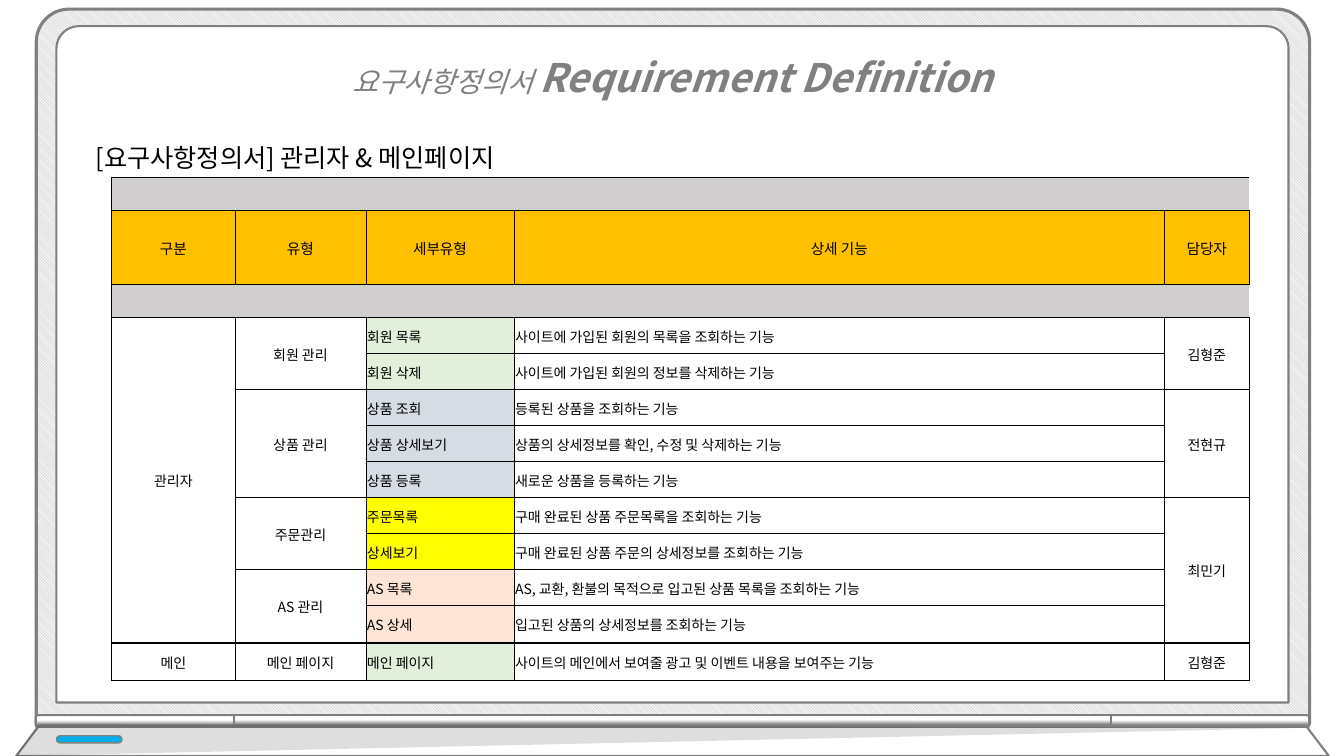
import lxml.etree
import pptx
import pptx.dml.color
import pptx.enum.dml
import pptx.enum.shapes
import pptx.enum.text
import pptx.oxml.ns
import pptx.util

Inches = pptx.util.Inches
Pt = pptx.util.Pt
RGB = pptx.dml.color.RGBColor.from_string
qn = pptx.oxml.ns.qn
SHAPE = pptx.enum.shapes.MSO_SHAPE
CENTER = pptx.enum.text.PP_ALIGN.CENTER
LEFT = pptx.enum.text.PP_ALIGN.LEFT


class Theme:
    font = "Noto Sans CJK KR"
    text, gray, white = "000000", "808080", "FFFFFF"
    bezel, bezel_stripe, light = "F2F2F2", "BFBFBF", "00B0F0"
    band, header = "D0CECE", "FFC000"
    green, blue, yellow, peach = "E2EFDA", "D6DCE4", "FFFF00", "FCE4D6"
    title_size, subtitle_size, heading_size = 28, 20, 18
    header_size, body_size = 10.5, 10


def set_font(paragraph, size, color):
    font = paragraph.font
    font.size = Pt(size)
    font.name = Theme.font
    font.color.rgb = RGB(color)
    east_asian = lxml.etree.SubElement(font._element, qn("a:ea"))
    east_asian.set("typeface", Theme.font)


def style_shape(shape, fill=None, line_width=None):
    """Drop the shadow, then set a solid fill and a gray outline or none."""
    shape.shadow.inherit = False
    if fill:
        shape.fill.solid()
        shape.fill.fore_color.rgb = RGB(fill)
    if line_width:
        shape.line.color.rgb = RGB(Theme.gray)
        shape.line.width = Pt(line_width)
    else:
        shape.line.fill.background()


presentation = pptx.Presentation()
presentation.slide_width = Inches(13.33)
presentation.slide_height = Inches(7.5)
slide = presentation.slides.add_slide(presentation.slide_layouts[6])

# Laptop screen
laptop = slide.shapes.add_group_shape().shapes
bezel = laptop.add_shape(SHAPE.ROUND_2_SAME_RECTANGLE, Inches(0.36), Inches(0.09), Inches(12.63), Inches(7.09))
bezel.adjustments[0] = 0.046
style_shape(bezel, line_width=2.25)
bezel.fill.patterned()
bezel.fill.pattern = pptx.enum.dml.MSO_PATTERN.LIGHT_DOWNWARD_DIAGONAL
bezel.fill.fore_color.rgb = RGB(Theme.bezel_stripe)
bezel.fill.back_color.rgb = RGB(Theme.bezel)

screen = laptop.add_shape(SHAPE.ROUND_2_SAME_RECTANGLE, Inches(0.56), Inches(0.26), Inches(12.22), Inches(6.71))
screen.adjustments[0] = 0.033
style_shape(screen, Theme.white, 1.5)

# Hinge: left, top, length, rotation, corner, mirrored
hinge_parts = [
    (1.28, 6.17, 1.97, 270, 0.193, False),
    (11.94, 6.17, 1.97, 90, 0.193, True),
    (6.61, 2.8, 8.7, 270, 0, False),
]
for left, top, length, rotation, corner, mirrored in hinge_parts:
    hinge = laptop.add_shape(SHAPE.ROUND_2_SAME_RECTANGLE, Inches(left), Inches(top), Inches(0.12), Inches(length))
    hinge.adjustments[0] = corner
    hinge.rotation = rotation
    if mirrored:
        hinge._element.spPr.find(qn("a:xfrm")).set("flipH", "1")
    style_shape(hinge, line_width=1.5)
    hinge.fill.gradient()
    hinge.fill.gradient_angle = 0
    for stop, position, color in zip(hinge.fill.gradient_stops, (0.17, 0.59), (Theme.gray, Theme.white)):
        stop.position = position
        stop.color.rgb = RGB(color)

# Keyboard base and its shade
base_outlines = [
    ([(0.38, 7.21), (12.96, 7.21), (13.18, 7.5), (0.16, 7.5)], Theme.white, 1.5),
    ([(0.38, 7.18), (0.16, 7.5), (13.01, 7.22)], Theme.text, None),
]
for points, fill, line_width in base_outlines:
    corners = [(Inches(x), Inches(y)) for x, y in points]
    builder = laptop.build_freeform(*corners[0])
    builder.add_line_segments(corners[1:], close=True)
    base = builder.convert_to_shape()
    style_shape(base, fill, line_width)
shade_color = base._element.spPr.find(qn("a:solidFill"))[0]
lxml.etree.SubElement(shade_color, qn("a:alpha")).set("val", "13000")

power_light = laptop.add_shape(SHAPE.ROUNDED_RECTANGLE, Inches(0.56), Inches(7.3), Inches(0.65), Inches(0.07))
power_light.adjustments[0] = 0.5
style_shape(power_light, Theme.light, 1)

# Title
title = slide.shapes.add_textbox(Inches(3.29), Inches(0.25), Inches(6.76), Inches(0.81))
title.text_frame.word_wrap = True
paragraph = title.text_frame.paragraphs[0]
paragraph.alignment = CENTER
paragraph.line_spacing = 1.5
set_font(paragraph, Theme.subtitle_size, Theme.gray)
paragraph.font.italic = True
paragraph.add_run().text = "요구사항정의서 "
english_title = paragraph.add_run()
english_title.text = "Requirement Definition"
english_title.font.size = Pt(Theme.title_size)
english_title.font.bold = True

# Requirements table
headers = ["구분", "유형", "세부유형", "상세 기능", "담당자"]
requirements = [
    ("관리자", "회원 관리", "회원 목록", "사이트에 가입된 회원의 목록을 조회하는 기능", "김형준", Theme.green),
    ("", "", "회원 삭제", "사이트에 가입된 회원의 정보를 삭제하는 기능", "", Theme.green),
    ("", "상품 관리", "상품 조회", "등록된 상품을 조회하는 기능", "전현규", Theme.blue),
    ("", "", "상품 상세보기", "상품의 상세정보를 확인, 수정 및 삭제하는 기능", "", Theme.blue),
    ("", "", "상품 등록", "새로운 상품을 등록하는 기능", "", Theme.blue),
    ("", "주문관리", "주문목록", "구매 완료된 상품 주문목록을 조회하는 기능", "최민기", Theme.yellow),
    ("", "", "상세보기", "구매 완료된 상품 주문의 상세정보를 조회하는 기능", "", Theme.yellow),
    ("", "AS 관리", "AS 목록", "AS, 교환, 환불의 목적으로 입고된 상품 목록을 조회하는 기능", "", Theme.peach),
    ("", "", "AS 상세", "입고된 상품의 상세정보를 조회하는 기능", "", Theme.peach),
    ("메인", "메인 페이지", "메인 페이지", "사이트의 메인에서 보여줄 광고 및 이벤트 내용을 보여주는 기능", "김형준", Theme.green),
]
band_rows, header_row, first_row = (0, 2), 1, 3
thick_edges = (0, 1, 2, 3, 12, 13)
column_widths = [1.22, 1.3, 1.47, 6.45, 0.84]
row_heights = [0.33, 0.73, 0.33] + [2.86 / 8] * 8 + [0.37] * 2
band = [""] * len(headers)
rows = [band, headers, band] + [requirement[:5] for requirement in requirements]

table = slide.shapes.add_table(
    len(rows), len(headers), Inches(1.11), Inches(1.76), Inches(sum(column_widths)), Inches(sum(row_heights))
).table
table.first_row = table.horz_banding = False
table._tbl.tblPr.find(qn("a:tableStyleId")).text = "{2D5ABB26-0587-4C30-8999-92F81FD0307C}"
for column, width in zip(table.columns, column_widths):
    column.width = Inches(width)
for row, height in zip(table.rows, row_heights):
    row.height = Inches(height)

for row_index, texts in enumerate(rows):
    is_band = row_index in band_rows
    for column_index, text in enumerate(texts):
        cell = table.cell(row_index, column_index)
        cell.margin_left = cell.margin_right = cell.margin_top = Inches(0.01)
        cell.margin_bottom = 0
        cell.vertical_anchor = pptx.enum.text.MSO_ANCHOR.MIDDLE
        paragraph = cell.text_frame.paragraphs[0]
        is_left = row_index >= first_row and column_index in (2, 3)
        paragraph.alignment = LEFT if is_left else CENTER
        size = Theme.header_size if row_index == header_row else Theme.body_size
        set_font(paragraph, size, Theme.text)
        if text:
            paragraph.add_run().text = text
        else:
            lxml.etree.SubElement(paragraph._p, qn("a:endParaRPr")).set("sz", str(size * 100))

        borders = {
            "a:lnL": 1 if column_index == 0 else 0 if is_band else 0.5,
            "a:lnR": 0 if is_band else 0.5,
            "a:lnT": 1 if row_index in thick_edges else 0.5,
            "a:lnB": 1 if row_index + 1 in thick_edges else 0.5,
        }
        for tag, width in borders.items():
            if width:
                border = lxml.etree.SubElement(cell._tc.get_or_add_tcPr(), qn(tag), w=str(Pt(width)))
                border_fill = lxml.etree.SubElement(border, qn("a:solidFill"))
                lxml.etree.SubElement(border_fill, qn("a:srgbClr"), val=Theme.text)

        fill = Theme.band if is_band else Theme.header if row_index == header_row else None
        if row_index >= first_row and column_index == 2:
            fill = requirements[row_index - first_row][5]
        if fill:
            cell.fill.solid()
            cell.fill.fore_color.rgb = RGB(fill)
        else:
            cell.fill.background()

for row_index in band_rows:
    table.cell(row_index, 0).merge(table.cell(row_index, len(headers) - 1))
for column_index in (0, 1, 4):
    starts = [i for i in range(first_row, len(rows)) if rows[i][column_index]]
    for start, end in zip(starts, starts[1:] + [len(rows)]):
        if end - start > 1:
            table.cell(start, column_index).merge(table.cell(end - 1, column_index))

# Table heading
heading = slide.shapes.add_textbox(Inches(0.85), Inches(1.36), Inches(5.5), Inches(0.4))
heading.text_frame.word_wrap = True
paragraph = heading.text_frame.paragraphs[0]
paragraph.text = "[요구사항정의서] 관리자 & 메인페이지"
set_font(paragraph, Theme.heading_size, Theme.text)

presentation.save("out.pptx")
